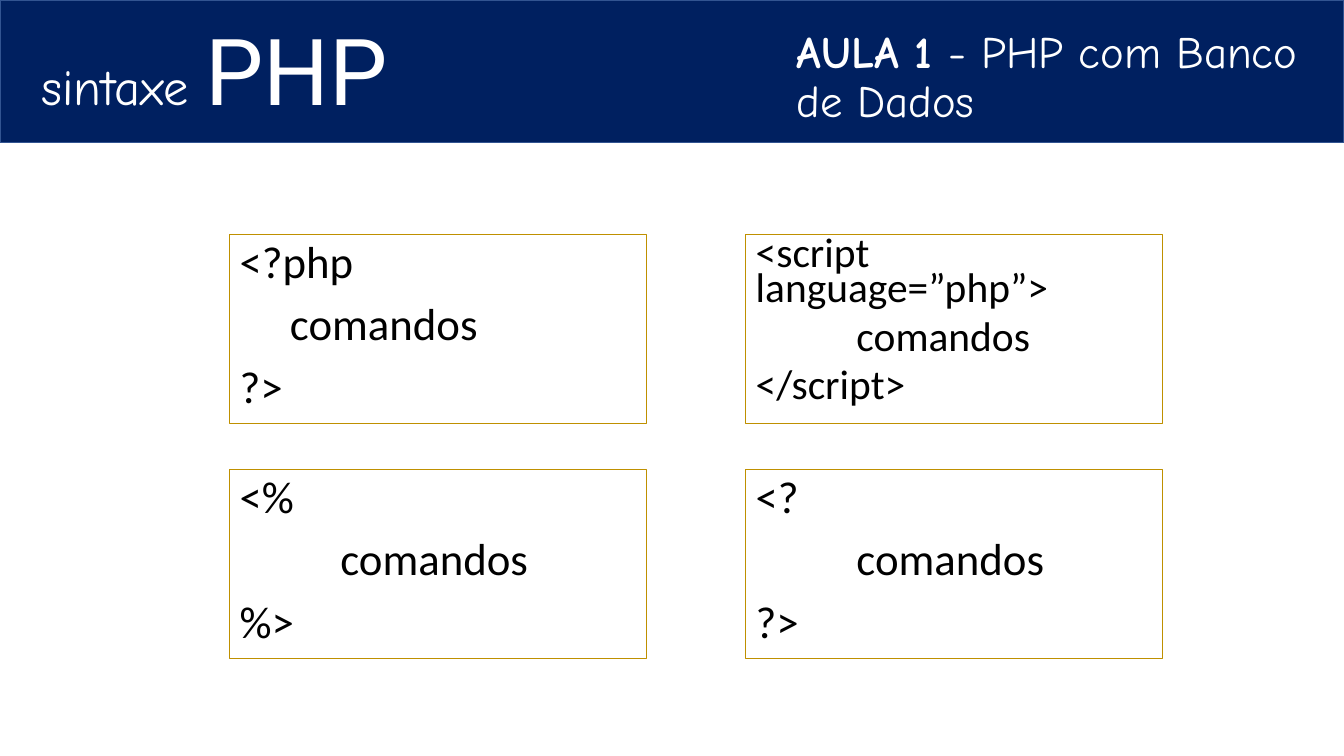
"""Build the slide that shows the four PHP tag styles."""
from pptx import Presentation
from pptx.dml.color import RGBColor
from pptx.enum.shapes import MSO_SHAPE as Shape
from pptx.enum.text import MSO_ANCHOR as Anchor, PP_ALIGN as Align
from pptx.util import Pt

COLORS = {"navy": "002060", "edge": "325491", "gold": "BF9000",
          "white": "FFFFFF", "black": "000000"}


def add_text(paragraph, text, size=32, font="Calibri", color="black",
             bold=False, spacing=0.9, before=0, indent=0):
    paragraph.alignment = Align.LEFT
    paragraph.line_spacing = spacing
    paragraph.space_before = Pt(before)
    if indent:
        paragraph._p.get_or_add_pPr().set("marL", str(Pt(indent)))
    run = paragraph.add_run()
    run.text = text
    run.font.size = Pt(size)
    run.font.name = font
    run.font.bold = bold
    run.font.color.rgb = RGBColor.from_string(COLORS[color])


def add_box(slide, left, top, width, height, line, weight, fill=None):
    shape = slide.shapes.add_shape(Shape.RECTANGLE, Pt(left), Pt(top), Pt(width), Pt(height))
    shape.shadow.inherit = False
    if fill:
        shape.fill.solid()
        shape.fill.fore_color.rgb = RGBColor.from_string(COLORS[fill])
    else:
        shape.fill.background()
    shape.line.color.rgb = RGBColor.from_string(COLORS[line])
    shape.line.width = Pt(weight)
    return shape


presentation = Presentation()
presentation.slide_width, presentation.slide_height = Pt(960), Pt(540)
slide = presentation.slides.add_slide(presentation.slide_layouts[5])

band = add_box(slide, 0, 0, 960, 102, "edge", 1, fill="navy")
slide.shapes._spTree.insert(2, band._element)

title = slide.shapes.title
title.left, title.top, title.width, title.height = Pt(561.6), Pt(51), Pt(376), Pt(44.6)
title.text_frame.word_wrap = True
title.text_frame.vertical_anchor = Anchor.BOTTOM
title.text_frame.margin_bottom = Pt(5)
heading = title.text_frame.paragraphs[0]
add_text(heading, "AULA 1 ", font="Comic Neue", color="white", bold=True)
add_text(heading, "- PHP com Banco de Dados", font="Comic Neue", color="white")

topic = slide.shapes.add_textbox(Pt(22.3), Pt(13), Pt(581), Pt(82))
topic.text_frame.word_wrap = True
topic.text_frame.vertical_anchor = Anchor.MIDDLE
topic_line = topic.text_frame.paragraphs[0]
add_text(topic_line, "sintaxe ", size=36, font="Comic Neue", color="white")
add_text(topic_line, "PHP", size=66, font="Roboto", color="white")

tag_styles = [
    ("<?php", "?>", 36, 32, 0.9),
    ("<script language=”php”>", "</script>", 72, 29.6, 0.7),
    ("<%", "%>", 72, 32, 0.9),
    ("<?", "?>", 72, 32, 0.9),
]
for index, (opening, closing, indent, size, spacing) in enumerate(tag_styles):
    row, column = divmod(index, 2)
    box = add_box(slide, 164 + column * 368.7, 167.6 + row * 167.8, 298, 134.8, "gold", 0.75)
    frame = box.text_frame
    frame.word_wrap = True
    frame.vertical_anchor = Anchor.TOP
    lines = [(opening, 0), ("comandos", indent), (closing, 0)]
    for number, (text, line_indent) in enumerate(lines):
        paragraph = frame.add_paragraph() if number else frame.paragraphs[0]
        add_text(paragraph, text, size=size, spacing=spacing, before=10, indent=line_indent)

presentation.save("out.pptx")
